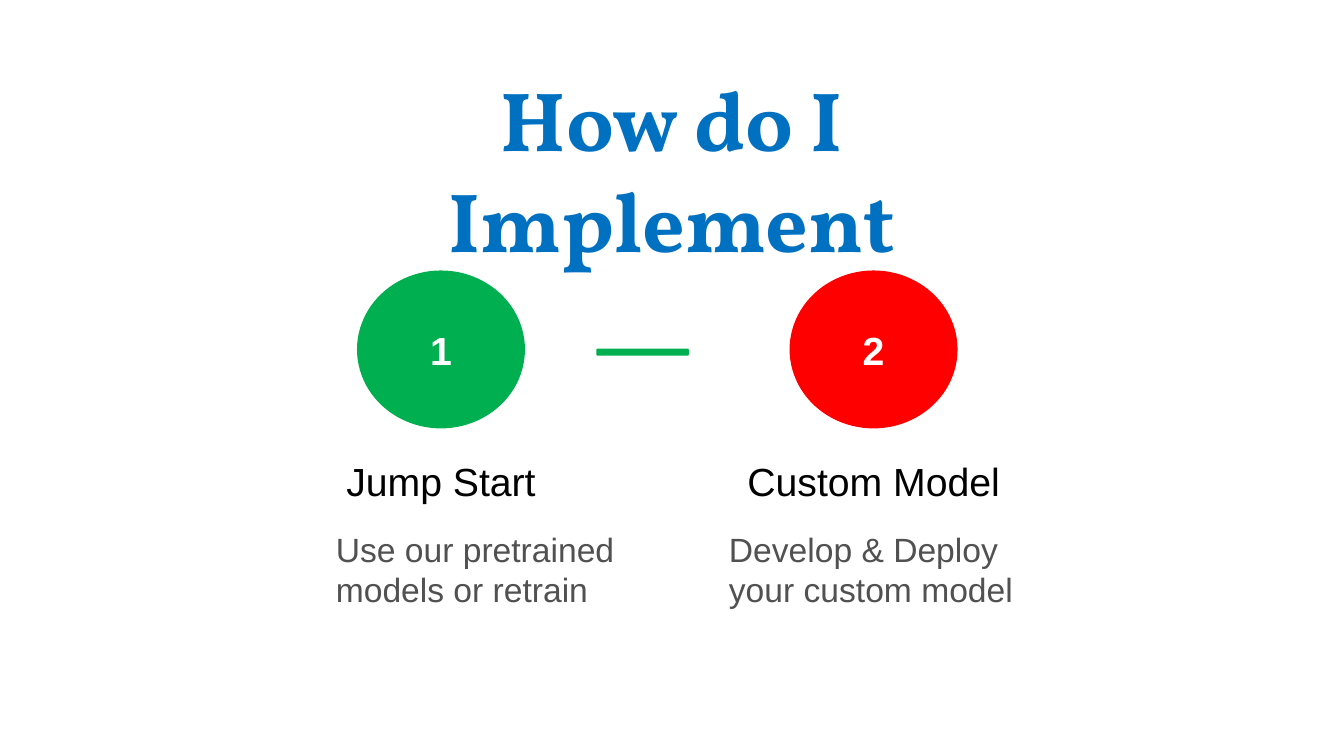
import pptx
import pptx.util
import pptx.dml.color
import pptx.enum.shapes
import pptx.enum.text

COLORS = {"heading": "0070C0", "start": "00B050", "custom": "FF0000",
          "number": "FFFFFF", "label": "000000", "detail": "515151"}
COLUMNS, ROWS = 160, 90
SHAPES = pptx.enum.shapes.MSO_SHAPE
ALIGN = pptx.enum.text.PP_ALIGN
ANCHOR = pptx.enum.text.MSO_ANCHOR
GROW = pptx.enum.text.MSO_AUTO_SIZE.SHAPE_TO_FIT_TEXT


class Deck:
    """Holds the style, the grid and the current slide."""

    def __init__(self):
        """Open a widescreen deck with one title-only slide."""
        self.show = pptx.Presentation()
        self.show.slide_width = pptx.util.Inches(13.33)
        self.show.slide_height = pptx.util.Inches(7.5)
        self.slide = self.show.slides.add_slide(self.show.slide_layouts[5])

    def place(self, left, top, width, height):
        """Turn grid columns and rows into slide lengths."""
        column = self.show.slide_width / COLUMNS
        row = self.show.slide_height / ROWS
        return [int(n) for n in (left * column, top * row, width * column, height * row)]

    def add_words(self, frame, words, size, color, bold=False, font="Arial",
                  align=ALIGN.CENTER, anchor=ANCHOR.TOP):
        """Add one styled run to a text frame."""
        frame.vertical_anchor = anchor
        paragraph = frame.paragraphs[0]
        paragraph.alignment = align
        run = paragraph.add_run()
        run.text = words
        run.font.size = pptx.util.Pt(size)
        run.font.name = font
        run.font.bold = bold
        run.font.color.rgb = pptx.dml.color.RGBColor.from_string(COLORS[color])

    def title(self, words, *cells):
        """Move and fill the title placeholder."""
        heading = self.slide.shapes.title
        heading.left, heading.top, heading.width, heading.height = self.place(*cells)
        heading.text_frame.word_wrap = True
        heading.text_frame.auto_size = GROW
        self.add_words(heading.text_frame, words, 60, "heading", True, "Vollkorn")

    def block(self, kind, color, *cells):
        """Draw a borderless filled shape and return it."""
        block = self.slide.shapes.add_shape(kind, *self.place(*cells))
        block.shadow.inherit = False
        block.fill.solid()
        block.fill.fore_color.rgb = pptx.dml.color.RGBColor.from_string(COLORS[color])
        block.line.fill.background()
        return block

    def text(self, words, size, color, cells, wrap=True, align=ALIGN.LEFT):
        """Add a text box that grows with its words."""
        frame = self.slide.shapes.add_textbox(*self.place(*cells)).text_frame
        frame.word_wrap = wrap
        frame.auto_size = GROW
        self.add_words(frame, words, size, color, align=align)

    def step(self, number, color, center, label, label_width, detail, detail_left):
        """Draw a numbered circle with its label and detail below."""
        circle = self.block(SHAPES.OVAL, color, center - 10, 32.2, 20, 18.8)
        self.add_words(circle.text_frame, number, 28, "number", True, anchor=ANCHOR.MIDDLE)
        self.text(label, 28, "label", (center - label_width / 2, 53.8, label_width, 10),
                  wrap=False, align=ALIGN.CENTER)
        self.text(detail, 24, "detail", (detail_left, 62.35, 37, 10.9))


def main():
    """Build and save the slide."""
    deck = Deck()
    deck.title("How do I Implement", 34.1, 7.4, 91.7, 13.3)
    deck.step("1", "start", 52.5, "Jump Start", 33.6,
              "Use our pretrained models or retrain", 38.8)
    deck.step("2", "custom", 104, "Custom Model", 43.7,
              "Develop & Deploy your custom model", 85.6)
    deck.block(SHAPES.ROUNDED_RECTANGLE, "start", 71, 41.5, 11, 0.84)
    deck.show.save("out.pptx")


main()
